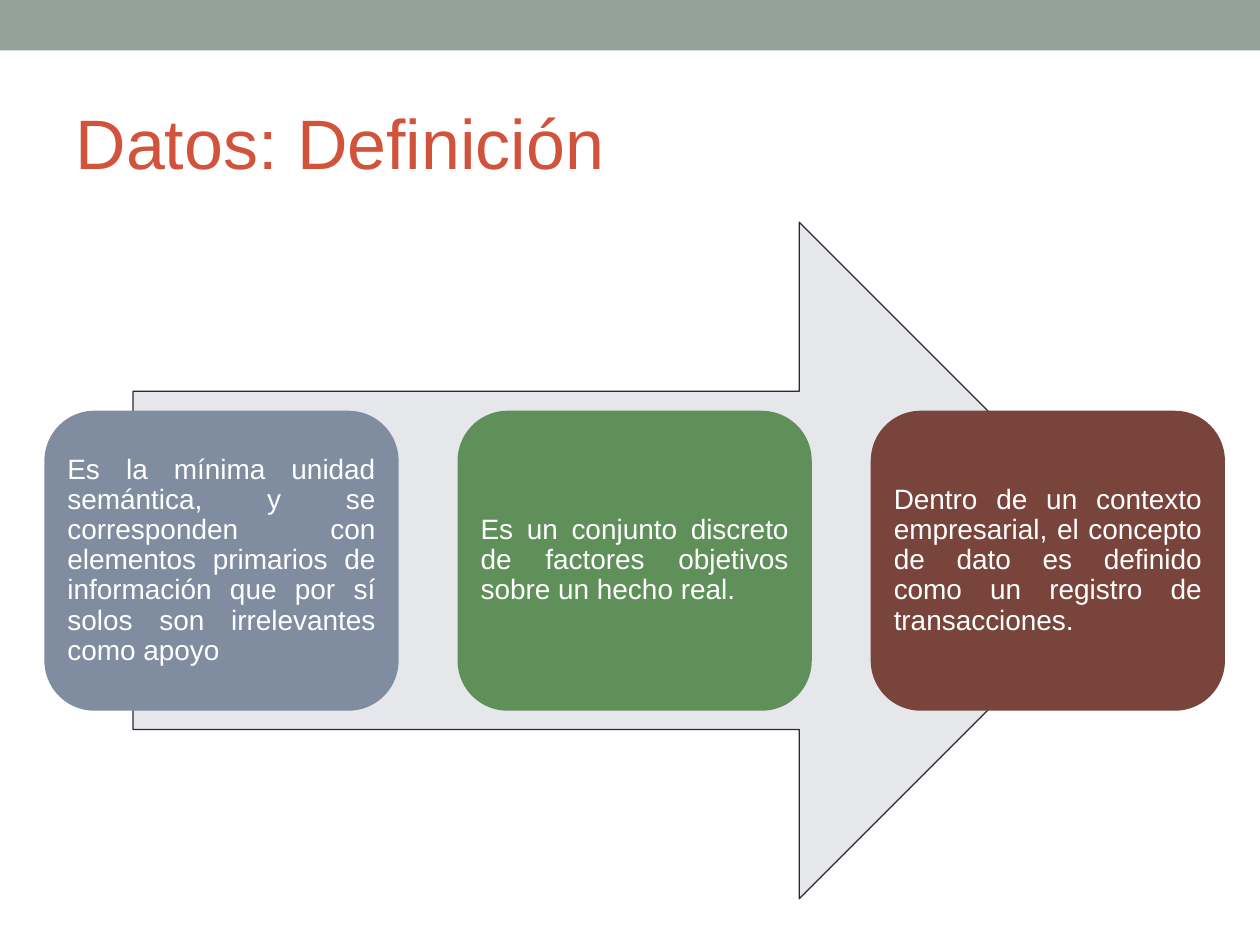
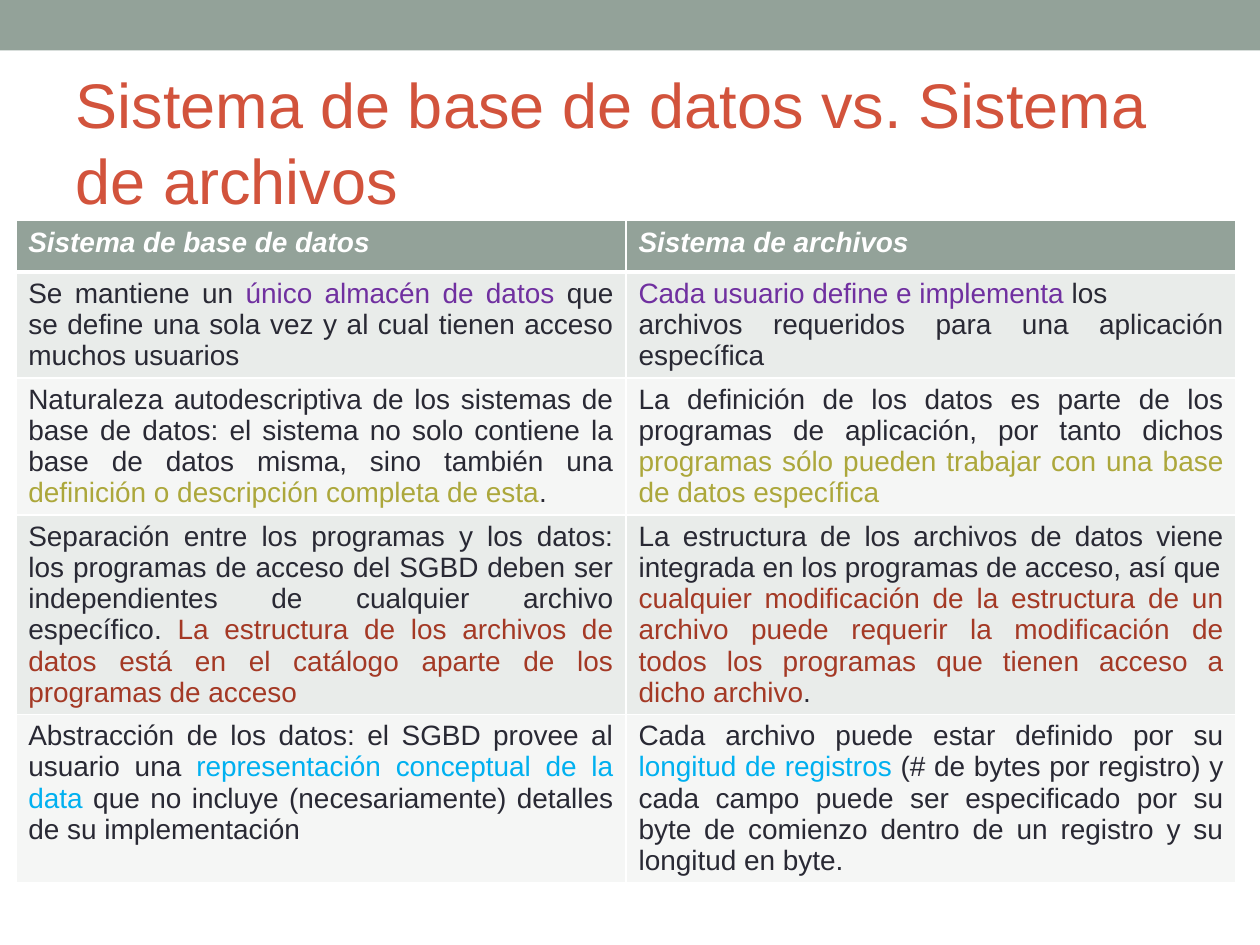
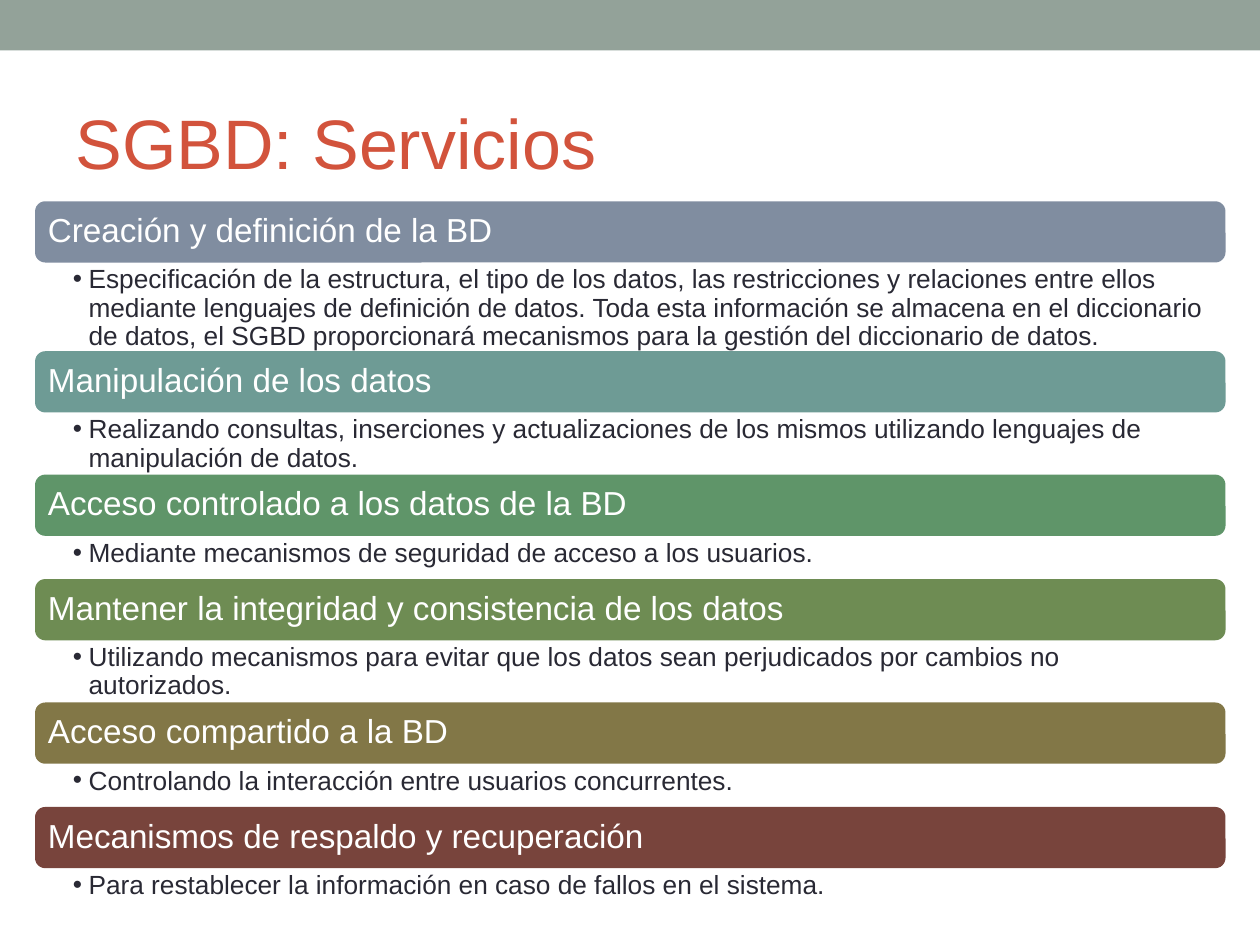
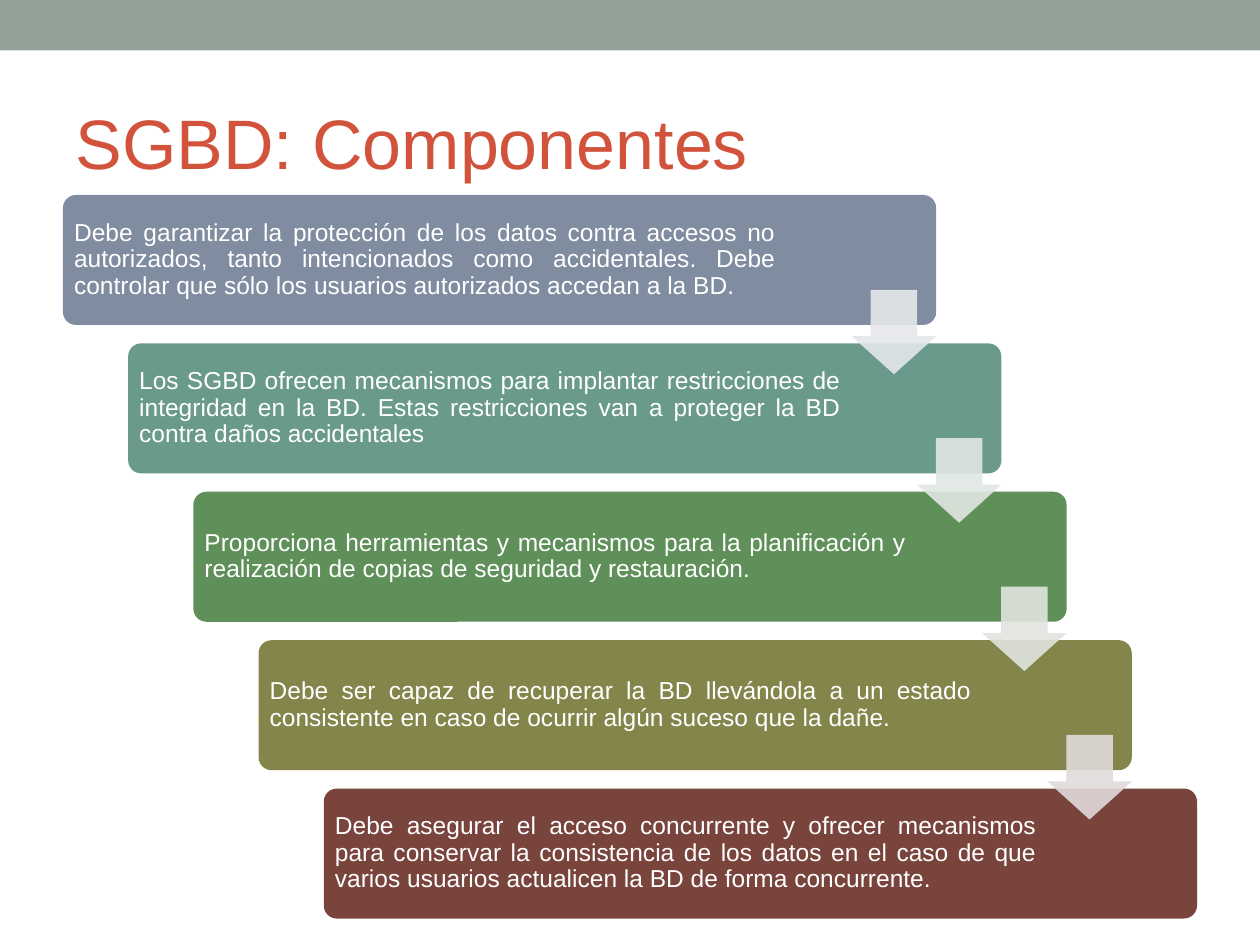
from lxml import etree
from pptx import Presentation
from pptx.dml.color import RGBColor
from pptx.enum import shapes, text
from pptx.oxml import ns
from pptx.util import Pt

FONT = "Arial"
WHITE, INK, RED, SAGE = "FFFFFF", "292934", "D2533C", "93A299"
STEEL, GREEN, BROWN = "808DA0", "609059", "78443C"
VIOLET, OLIVE, RUST, SKY = "7030A0", "ACA73B", "A43925", "00B0F0"
MIST, PALE, LIGHT = "E5E7EB", "E9ECEA", "F5F6F5"
LEFT, EVEN = text.PP_ALIGN.LEFT, text.PP_ALIGN.JUSTIFY
KIND = shapes.MSO_SHAPE

FACTS = [
    (STEEL, "Es la mínima unidad semántica, y se corresponden con elementos primarios "
            "de información que por sí solos son irrelevantes como apoyo"),
    (GREEN, "Es un conjunto discreto de factores objetivos sobre un hecho real."),
    (BROWN, "Dentro de un contexto empresarial, el concepto de dato es definido como "
            "un registro de transacciones."),
]

HEADS = ["Sistema de base de datos", "Sistema de archivos"]

ROWS = [
    ([[("Se mantiene un ", INK), ("único almacén de datos ", VIOLET),
       ("que se define una sola vez y al cual tienen acceso muchos usuarios", INK)]],
     [[("Cada usuario define e implementa ", VIOLET), ("los", INK)],
      [("archivos requeridos para una aplicación específica", INK)]]),
    ([[("Naturaleza autodescriptiva de los sistemas de base de datos: el sistema no solo "
        "contiene la base de datos misma, sino también una ", INK),
       ("definición o descripción completa de esta", OLIVE), (".", INK)]],
     [[("La definición de los datos es parte de los programas de aplicación, por tanto "
        "dichos ", INK),
       ("programas sólo pueden trabajar con una base de datos específica", OLIVE)]]),
    ([[("Separación entre los programas y los datos: los programas de acceso del SGBD deben "
        "ser independientes de cualquier archivo específico. ", INK),
       ("La estructura de los archivos de datos está en el catálogo aparte de los programas "
        "de acceso", RUST)]],
     [[("La estructura de los archivos de datos viene integrada en los programas de acceso, "
        "así que", INK)],
      [("cualquier modificación de la estructura de un archivo puede requerir la modificación "
        "de todos los programas que tienen acceso a dicho archivo", RUST), (".", INK)]]),
    ([[("Abstracción de los datos: el SGBD provee al usuario una ", INK),
       ("representación conceptual de la data", SKY),
       (" que no incluye (necesariamente) detalles de su implementación", INK)]],
     [[("Cada archivo puede estar definido por su ", INK), ("longitud de registros", SKY),
       (" (# de bytes por registro) y cada campo puede ser especificado por su byte de "
        "comienzo dentro de un registro y su longitud en byte.", INK)]]),
]

TALL, MID, LOW = 50.7, 35.5, 24.7
TASKS = [
    (STEEL, TALL, "Creación y definición de la BD",
     "Especificación de la estructura, el tipo de los datos, las restricciones y relaciones "
     "entre ellos mediante lenguajes de definición de datos. Toda esta información se almacena "
     "en el diccionario de datos, el SGBD proporcionará mecanismos para la gestión del "
     "diccionario de datos."),
    ("6E9B95", MID, "Manipulación de los datos",
     "Realizando consultas, inserciones y actualizaciones de los mismos utilizando lenguajes "
     "de manipulación de datos."),
    ("5F9569", LOW, "Acceso controlado a los datos de la BD",
     "Mediante mecanismos de seguridad de acceso a los usuarios."),
    ("6E8C53", MID, "Mantener la integridad y consistencia de los datos",
     "Utilizando mecanismos para evitar que los datos sean perjudicados por cambios no "
     "autorizados."),
    ("827747", LOW, "Acceso compartido a la BD",
     "Controlando la interacción entre usuarios concurrentes."),
    (BROWN, LOW, "Mecanismos de respaldo y recuperación",
     "Para restablecer la información en caso de fallos en el sistema."),
]

STEPS = [
    (STEEL, "Debe garantizar la protección de los datos contra accesos no autorizados, tanto "
            "intencionados como accidentales. Debe controlar que sólo los usuarios autorizados "
            "accedan a la BD."),
    ("6A9A8C", "Los SGBD ofrecen mecanismos para implantar restricciones de integridad en la "
               "BD. Estas restricciones van a proteger la BD contra daños accidentales"),
    (GREEN, "Proporciona herramientas y mecanismos para la planificación y realización de "
            "copias de seguridad y restauración."),
    ("83854A", "Debe ser capaz de recuperar la BD llevándola a un estado consistente en caso "
               "de ocurrir algún suceso que la dañe."),
    (BROWN, "Debe asegurar el acceso concurrente y ofrecer mecanismos para conservar la "
            "consistencia de los datos en el caso de que varios usuarios actualicen la BD de "
            "forma concurrente."),
]
ARROWS = [MIST, "E1E7E3", "E1E4DE", "E1DADA"]


def paint(part, tone):
    part.fill.solid()
    part.fill.fore_color.rgb = RGBColor.from_string(tone)


def child(node, tag, **attrs):
    return etree.SubElement(node, ns.qn(tag), attrs)


def write(par, runs, size, align=LEFT, bold=None, space=None, after=None):
    par.alignment = align
    if space:
        par.line_spacing = space
        par.space_before = Pt(0)
        par.space_after = Pt(after)
    for words, tone in runs:
        run = par.add_run()
        run.text = words
        font = run.font
        font.name, font.size, font.bold, font.italic = FONT, Pt(size), bold, bold
        font.color.rgb = RGBColor.from_string(tone)


def pad(frame, left, top, right, base, anchor=text.MSO_ANCHOR.MIDDLE):
    frame.word_wrap = True
    frame.auto_size = text.MSO_AUTO_SIZE.NONE
    frame.vertical_anchor = anchor
    frame.margin_left, frame.margin_top = Pt(left), Pt(top)
    frame.margin_right, frame.margin_bottom = Pt(right), Pt(base)


def block(slide, kind, spot, tone, adjust=()):
    shape = slide.shapes.add_shape(kind, *map(Pt, spot))
    shape.shadow.inherit = False
    paint(shape, tone)
    shape.line.fill.background()
    for i, value in enumerate(adjust):
        shape.adjustments[i] = value
    return shape


def card(slide, spot, tone, curve, words, size, inset, after, align=EVEN, right=None):
    shape = block(slide, KIND.ROUNDED_RECTANGLE, spot, tone, [curve])
    frame = shape.text_frame
    pad(frame, inset, inset, right or inset, inset)
    write(frame.paragraphs[0], [(words, WHITE)], size, align, space=0.9, after=after)


def detail(slide, spot, words):
    frame = slide.shapes.add_textbox(*map(Pt, spot)).text_frame
    pad(frame, 21.6, 2.1, 10.8, 2.1, text.MSO_ANCHOR.TOP)
    par = frame.paragraphs[0]
    par.level = 1
    write(par, [(words, INK)], 15, space=0.9, after=3)
    props = par._p.get_or_add_pPr()
    hang = Pt(9)
    props.set("marL", str(hang))
    props.set("indent", str(-hang))
    child(child(props, "a:buClr"), "a:srgbClr", val=INK)
    child(props, "a:buFont", typeface=FONT)
    child(props, "a:buChar", char="•")


def edge(cell, row):
    props = cell._tc.get_or_add_tcPr()
    for i, side in enumerate("LRTB"):
        thick = (row, side) in [(0, "B"), (1, "T")]
        line = etree.Element(ns.qn(f"a:ln{side}"), w=str(Pt(3 if thick else 1)))
        child(child(line, "a:solidFill"), "a:srgbClr", val=WHITE)
        props.insert(i, line)


def fill(cell, row, pars, tone, bold):
    frame = cell.text_frame
    for i, runs in enumerate(pars):
        par = frame.add_paragraph() if i else frame.paragraphs[0]
        write(par, runs, 16, EVEN, bold)
    cell.margin_left = cell.margin_right = Pt(7.2)
    cell.margin_top = cell.margin_bottom = Pt(3.6)
    paint(cell, tone)
    edge(cell, row)


def band(deck, slide):
    shape = block(slide, KIND.RECTANGLE, (0, 0, 720, 28.8), SAGE)
    shape.element.xpath(".//p:cNvPr")[0].set("id", "90")
    deck.slide_master.shapes.element.insert(2, shape.element)


def page(deck, words, size=40):
    slide = deck.slides.add_slide(deck.slide_layouts[5])
    title = slide.shapes.title
    title.left, title.top, title.width, title.height = map(Pt, (36, 41.8, 648, 77.8))
    pad(title.text_frame, 7.2, 3.6, 7.2, 3.6)
    write(title.text_frame.paragraphs[0], [(words, RED)], size)
    return slide


def define(deck):
    slide = page(deck, "Datos: Definición")
    band(deck, slide)
    arrow = block(slide, KIND.RIGHT_ARROW, (76, 127, 574, 386.6), MIST, [0.5, 0.5])
    arrow.line.color.rgb = RGBColor.from_string(INK)
    arrow.line.width = Pt(0.75)
    for i, (tone, words) in enumerate(FACTS):
        card(slide, (25.4 + 236.1 * i, 234.7, 202.4, 171.4), tone, 0.167, words, 16, 4.8, 5.6)


def compare(deck):
    slide = page(deck, "Sistema de base de datos vs. Sistema de archivos", 36)
    frame = slide.shapes.add_table(5, 2, *map(Pt, (9, 126, 697.4, 404)))
    table = frame.table
    for row in table.rows:
        row.height = Pt(29.5)
    frame.height = Pt(404)
    heads = [[[(words, WHITE)]] for words in HEADS]
    for i, pair in enumerate([heads, *ROWS]):
        tone = (PALE if i % 2 else LIGHT) if i else SAGE
        for j, pars in enumerate(pair):
            fill(table.cell(i, j), i, pars, tone, i == 0)


def serve(deck):
    slide = page(deck, "SGBD: Servicios")
    left, top, width, bar = 20, 115, 680.3, 35
    for tone, height, head, words in TASKS:
        card(slide, (left, top, width, bar), tone, 0.167, head, 19, 5.7, 6.7, LEFT)
        detail(slide, (left, top + bar, width, height), words)
        top += bar + height


def build(deck):
    slide = page(deck, "SGBD: Componentes")
    across, down = 37.26, 84.8
    for i, (tone, words) in enumerate(STEPS):
        spot = (36 + across * i, 111.4 + down * i, 499, 74.3)
        card(slide, spot, tone, 0.1, words, 14, 4.2, 4.9, right=89.5)
    for i, tone in enumerate(ARROWS):
        spot = (486.7 + across * i, 165.6 + down * i, 48.3, 48.3)
        arrow = block(slide, KIND.DOWN_ARROW, spot, tone, [0.55, 0.45])
        child(arrow.element.xpath("./p:spPr/a:solidFill/a:srgbClr")[0], "a:alpha", val="90000")


def main():
    deck = Presentation()
    deck.slide_width, deck.slide_height = Pt(720), Pt(540)
    for make in (define, compare, serve, build):
        make(deck)
    deck.save("out.pptx")


if __name__ == "__main__":
    main()
